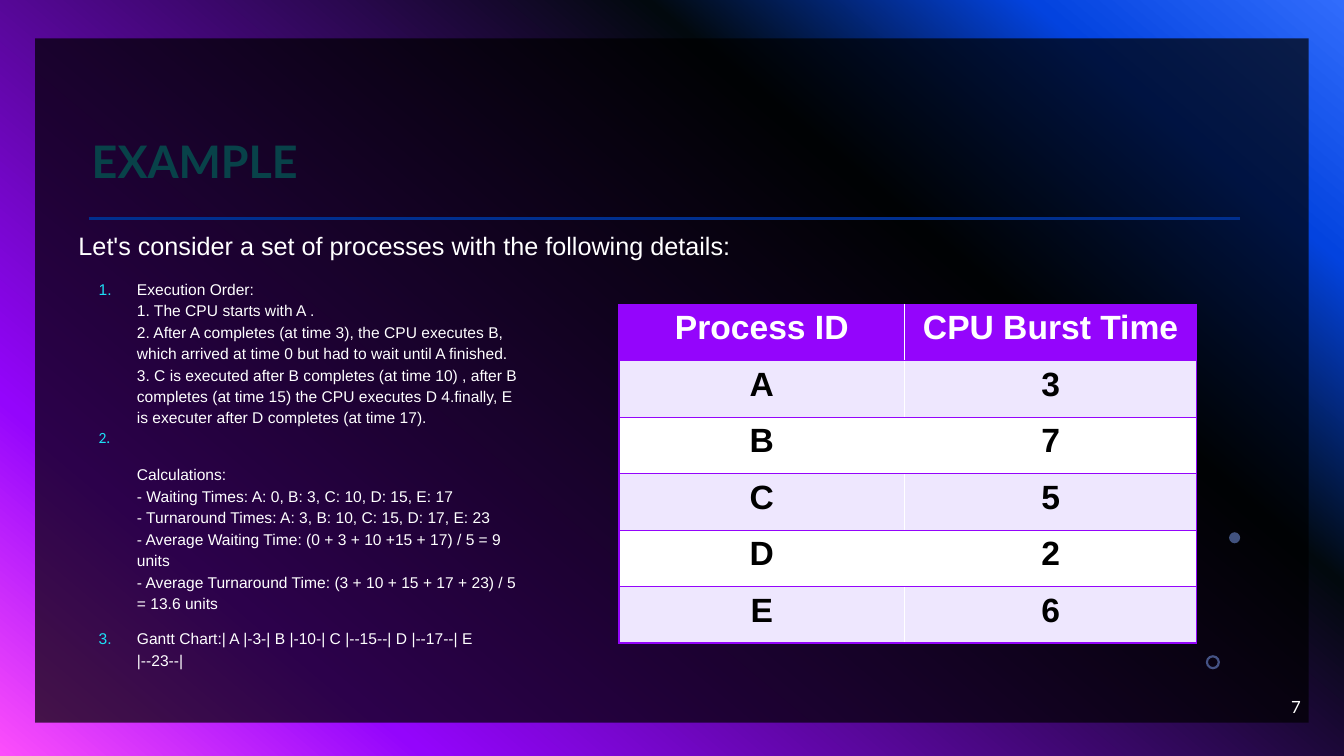
import pptx
import pptx.util
import pptx.dml.color
import pptx.enum.shapes
import pptx.enum.text
import pptx.oxml
import pptx.oxml.ns
from lxml import etree

Inches, Pt = pptx.util.Inches, pptx.util.Pt
RGB = pptx.dml.color.RGBColor
SHAPE = pptx.enum.shapes.MSO_SHAPE
ALIGN = pptx.enum.text.PP_ALIGN
ANCHOR = pptx.enum.text.MSO_ANCHOR
qn = pptx.oxml.ns.qn

TITLE = "EXAMPLE"
INTRO = "Let's consider a set of processes with the following details:"
STEPS = [
    ["Execution Order:",
     "1. The CPU starts with A .",
     "2. After A completes (at time 3), the CPU executes B, which arrived "
     "at time 0 but had to wait until A finished.",
     "3. C is executed after B completes (at time 10) , after B completes "
     "(at time 15) the CPU executes D 4.finally, E is executer after D "
     "completes (at time 17)."],
    ["",
     "Calculations:",
     "- Waiting Times: A: 0, B: 3, C: 10, D: 15, E: 17",
     "- Turnaround Times: A: 3, B: 10, C: 15, D: 17, E: 23",
     "- Average Waiting Time: (0 + 3 + 10 +15 + 17) / 5 = 9 units",
     "- Average Turnaround Time: (3 + 10 + 15 + 17 + 23) / 5 = 13.6 units"],
    ["Gantt Chart:| A |-3-| B |-10-| C |--15--| D |--17--| E |--23--|"],
]
ROWS = [("Process ID", "CPU Burst Time"),
        ("A", "3"), ("B", "7"), ("C", "5"), ("D", "2"), ("E", "6")]
PAGE = "7"

WHITE = RGB(0xFF, 0xFF, 0xFF)
BLACK = RGB(0, 0, 0)
CYAN = RGB(0x1C, 0xDF, 0xF5)
PURPLE = RGB(0x94, 0x05, 0xFC)
LILAC = RGB(0xEE, 0xE7, 0xFE)
NAVY = RGB(0x00, 0x2F, 0x8E)
SKY = RGB(0x83, 0xA7, 0xFD)
GLOW = [(0, RGB(0x31, 0x6C, 0xFC)), (14, RGB(0x03, 0x43, 0xDF)),
        (31, RGB(0x02, 0x09, 0x0E)), (81, PURPLE),
        (100, RGB(0xFC, 0x4E, 0xFB))]

WIDE, HIGH = 13.33, 7.5
COLS, ROW = (2.83, 2.9), 0.56
EDGES = [("a:lnL", "a:lnT", "a:lnB"), ("a:lnR", "a:lnT", "a:lnB")]


def inch(*sizes):
    return [Inches(size) for size in sizes]


def child(node, tag, **attrs):
    return etree.SubElement(node, qn(tag), attrs)


def tint(node, color):
    return child(node, "a:srgbClr", val=str(color))


def glow(slide):
    """Fill the background with the diagonal gradient."""
    fill = slide.background.fill
    fill.gradient()
    fill.gradient_angle = 230
    stops = slide.background._cSld.find(".//" + qn("a:gsLst"))
    for stop in list(stops):
        stops.remove(stop)
    for share, color in GLOW:
        tint(child(stops, "a:gs", pos=str(share * 1000)), color)


def veil(slide, kind, box, color, share):
    """Add a shape whose fill has the given opacity in percent."""
    shape = slide.shapes.add_shape(kind, *inch(*box))
    shape.shadow.inherit = False
    shape.fill.solid()
    shape.fill.fore_color.rgb = color
    shape.line.fill.background()
    tone = shape._element.spPr.find(qn("a:solidFill"))[0]
    child(tone, "a:alpha", val=str(share * 1000))
    return shape


def write(par, text, size, color, font="Arial", bold=False):
    run = par.add_run()
    run.text = text
    run.font.size, run.font.name, run.font.bold = Pt(size), font, bold
    run.font.color.rgb = color


def frame(slide, box, wrap=True):
    text = slide.shapes.add_textbox(*inch(*box)).text_frame
    text.word_wrap = wrap
    return text


def number(par):
    """Give a paragraph a hanging cyan number."""
    props = par._p.get_or_add_pPr()
    props.set("marL", str(Inches(0.38)))
    props.set("indent", str(-Inches(0.38)))
    tint(child(props, "a:buClr"), CYAN)
    child(props, "a:buFont", typeface="Arial")
    child(props, "a:buAutoNum", type="arabicPeriod")


def border(cell, edges):
    props = cell._tc.get_or_add_tcPr()
    for spot, tag in enumerate(edges):
        line = etree.Element(qn(tag), w=str(Pt(1)))
        tint(child(line, "a:solidFill"), PURPLE)
        props.insert(spot, line)


def decor(slide):
    glow(slide)
    veil(slide, SHAPE.RECTANGLE, (0.35, 0.38, 12.63, 6.79), BLACK, 70)
    rule = slide.shapes.add_connector(
        pptx.enum.shapes.MSO_CONNECTOR.STRAIGHT,
        *inch(0.88, 2.17, 12.3, 2.17))
    rule.line.color.rgb, rule.line.width = NAVY, Pt(2)
    child(rule._element.spPr, "a:effectLst")
    ring = veil(slide, SHAPE.DONUT, (11.96, 6.5, 0.14, 0.14), SKY, 49)
    ring.adjustments[0] = 0.16
    veil(slide, SHAPE.OVAL, (12.19, 5.28, 0.11, 0.11), SKY, 49)


def words(slide):
    title = slide.shapes.title
    title.left, title.top, title.width, title.height = inch(
        0.81, 0.47, 11.48, 1.45)
    title.text_frame.vertical_anchor = ANCHOR.BOTTOM
    head = title.text_frame.paragraphs[0]
    head.alignment, head.line_spacing = ALIGN.LEFT, 0.9
    write(head, TITLE, 32, CYAN, "Lato", True)

    notes = frame(slide, (0.88, 2.7, 4.4, 4.07))
    for spot, lines in enumerate(STEPS):
        par = notes.add_paragraph() if spot else notes.paragraphs[0]
        par.line_spacing, par.space_before = 1.15, Pt(10)
        number(par)
        for nth, line in enumerate(lines):
            if nth:
                par.add_line_break()
            if line:
                write(par, line, 11.1, WHITE)
    for gap in notes._txBody.iter(qn("a:br")):
        child(gap, "a:rPr", sz="1110")

    page = frame(slide, (10, 6.81, 3, 0.4))
    page.vertical_anchor = ANCHOR.MIDDLE
    page.paragraphs[0].alignment = ALIGN.RIGHT
    page.paragraphs[0].space_after = Pt(6)
    write(page.paragraphs[0], PAGE, 12, WHITE, "Lato")
    intro = frame(slide, (0.68, 2.24, 6.69, 0.71), False)
    write(intro.paragraphs[0], INTRO, 18, WHITE)


def grid(slide):
    table = slide.shapes.add_table(
        len(ROWS), len(COLS),
        *inch(6.14, 3.02, sum(COLS), ROW * len(ROWS))).table
    for col, wide in zip(table.columns, COLS):
        col.width = Inches(wide)
    for r, row in enumerate(ROWS):
        table.rows[r].height = Inches(ROW)
        back = PURPLE if r == 0 else LILAC if r % 2 else WHITE
        for c, text in enumerate(row):
            cell = table.cell(r, c)
            cell.fill.solid()
            cell.fill.fore_color.rgb = back
            border(cell, EDGES[c])
            par = cell.text_frame.paragraphs[0]
            par.alignment = ALIGN.CENTER
            write(par, text, 24, BLACK if r else WHITE, bold=True)


def main():
    deck = pptx.Presentation()
    deck.slide_width, deck.slide_height = inch(WIDE, HIGH)
    slide = deck.slides.add_slide(deck.slide_layouts[5])
    decor(slide)
    words(slide)
    grid(slide)
    deck.save("out.pptx")


if __name__ == "__main__":
    main()
